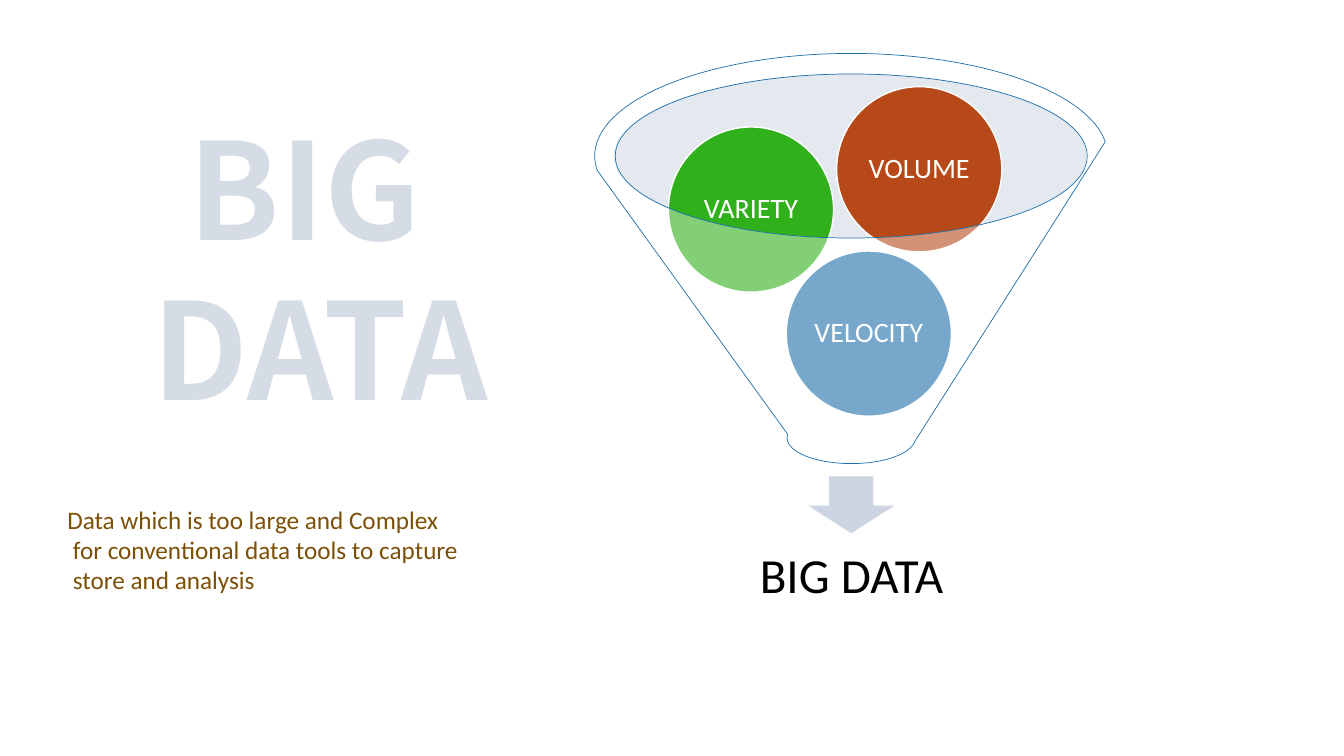
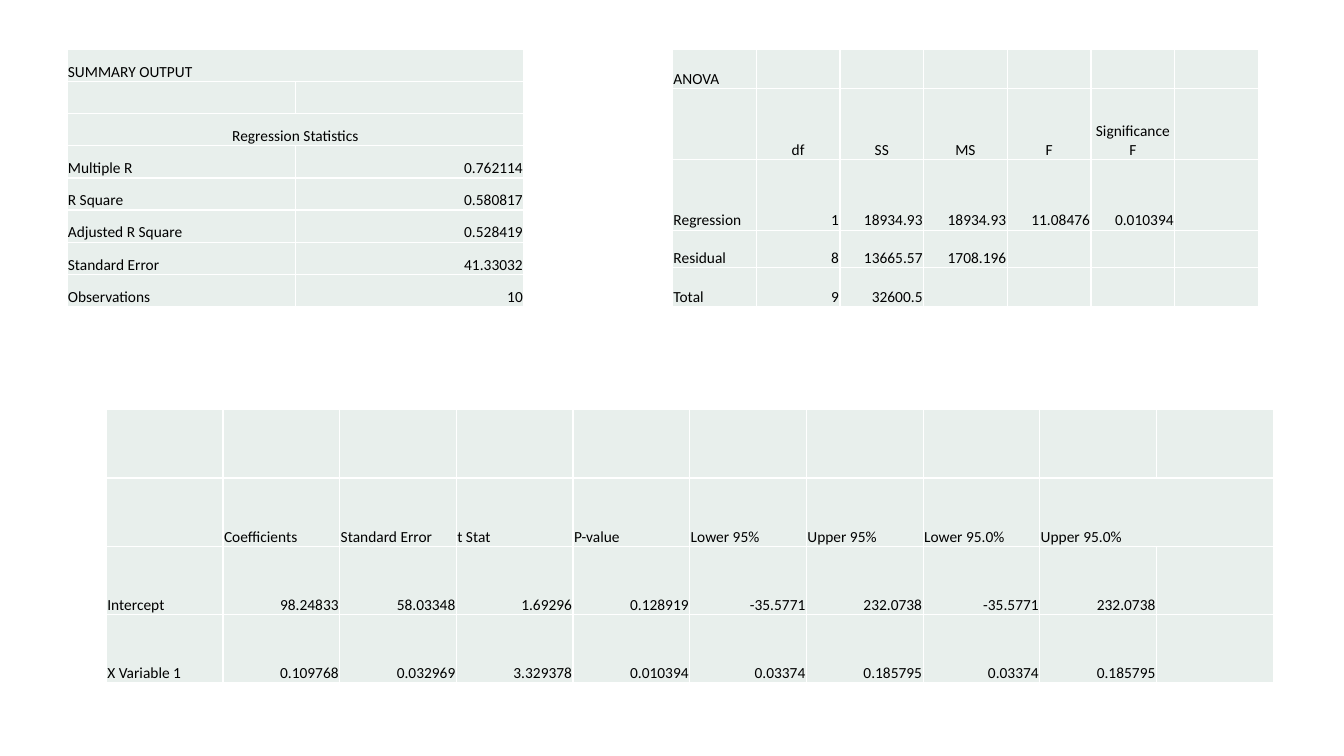
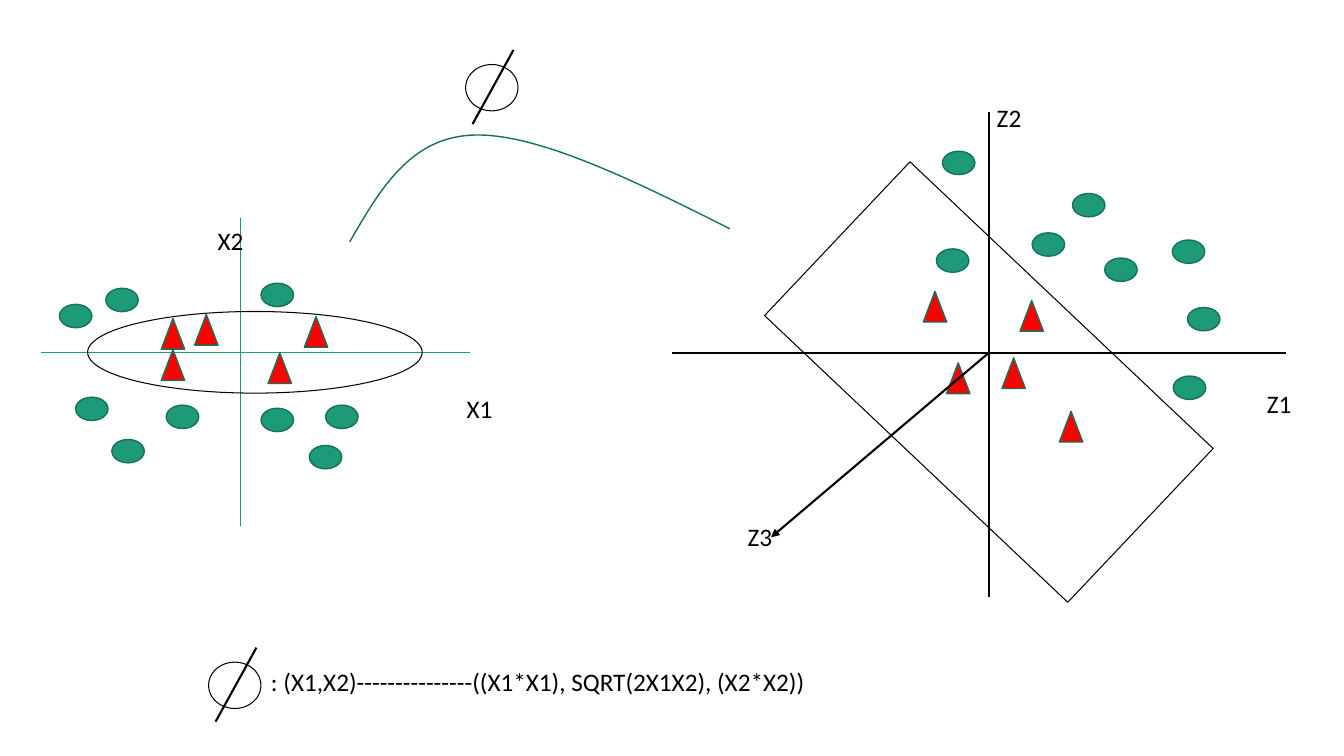
from dataclasses import dataclass

from lxml import etree
from pptx import Presentation
from pptx.dml.color import RGBColor
from pptx.enum.shapes import MSO_CONNECTOR, MSO_SHAPE
from pptx.enum.text import MSO_ANCHOR, PP_ALIGN
from pptx.oxml.ns import qn
from pptx.util import Pt

OVAL, TRIANGLE, RECTANGLE = MSO_SHAPE.OVAL, MSO_SHAPE.ISOSCELES_TRIANGLE, MSO_SHAPE.RECTANGLE
FUNNEL, DOWN_ARROW = MSO_SHAPE.FUNNEL, MSO_SHAPE.DOWN_ARROW
STRAIGHT = MSO_CONNECTOR.STRAIGHT
LEFT, CENTER, RIGHT = PP_ALIGN.LEFT, PP_ALIGN.CENTER, PP_ALIGN.RIGHT
TOP, MIDDLE, BOTTOM = MSO_ANCHOR.TOP, MSO_ANCHOR.MIDDLE, MSO_ANCHOR.BOTTOM


@dataclass(frozen=True)
class Theme:
    font: str = "Calibri"
    title_font: str = "Noto Sans CJK JP"
    black: str = "000000"
    white: str = "FFFFFF"
    title: str = "D6DCE5"
    caption: str = "7D5008"
    mouth: str = "BDC8DA"
    arrow: str = "CDD5E2"
    blue: str = "1D6FA9"
    green: str = "30B01B"
    rust: str = "B74919"
    teal: str = "1D9A78"
    dark_teal: str = "157259"
    red: str = "FF0000"
    cell: str = "E8EFEC"
    title_size: int = 96
    result_size: int = 35
    ball_size: int = 20
    body_size: int = 18
    table_size: int = 11


THEME = Theme()

# Slide 1
TITLE = ["BIG ", "DATA"]
CAPTION = ["Data which is too large and Complex",
           "for conventional data tools to capture",
           "store and analysis"]
BALL_SIDE = 118
BALLS = [("VELOCITY", 561.6, 179.3, THEME.blue),
         ("VARIETY", 477.4, 90.7, THEME.green),
         ("VOLUME", 597.6, 61.9, THEME.rust)]

# Slide 2: "merged" cells join with the cell to their right
TABLES = [
    {"at": (47.8, 35.4), "width": 326.4, "heights": [22.95] * 8,
     "merged": [(0, 0), (2, 0)], "centered_row": 2,
     "rows": [("SUMMARY OUTPUT", ""),
              ("", ""),
              ("Regression Statistics", ""),
              ("Multiple R", "0.762114"),
              ("R Square", "0.580817"),
              ("Adjusted R Square", "0.528419"),
              ("Standard Error", "41.33032"),
              ("Observations", "10")]},
    {"at": (480.4, 35.4), "width": 418.6, "heights": [27.8, 50.6, 50.6, 26.8, 27.8],
     "merged": [], "centered_row": 1,
     "rows": [("ANOVA", "", "", "", "", "", ""),
              ("", "df", "SS", "MS", "F", "Significance F", ""),
              ("Regression", "1", "18934.93", "18934.93", "11.08476", "0.010394", ""),
              ("Residual", "8", "13665.57", "1708.196", "", "", ""),
              ("Total", "9", "32600.5", "", "", "", "")]},
    {"at": (76, 292.6), "width": 833.6, "heights": [48.8] * 4,
     "merged": [(1, 8)], "centered_row": None,
     "rows": [("",) * 10,
              ("", "Coefficients", "Standard Error", "t Stat", "P-value", "Lower 95%",
               "Upper 95%", "Lower 95.0%", "Upper 95.0%", ""),
              ("Intercept", "98.24833", "58.03348", "1.69296", "0.128919", "-35.5771",
               "232.0738", "-35.5771", "232.0738", ""),
              ("X Variable 1", "0.109768", "0.032969", "3.329378", "0.010394", "0.03374",
               "0.185795", "0.03374", "0.185795", "")]},
]

# Slide 3
AXES = [(171.4, 155.5, 171.4, 375.8, THEME.teal, 0.5),
        (29.5, 252, 335.5, 252, THEME.teal, 0.5),
        (706.3, 79.9, 706.3, 426.2, THEME.black, 1.5),
        (480.2, 252, 918.7, 252, THEME.black, 1.5)]
DEPTH_AXIS = (706.3, 252, 550.8, 383.8, THEME.black, 1.5)
DOT_SIZE, MARK_SIZE = (23.2, 16.7), (16.7, 21.9)
DOTS = [(75.6, 205.9), (54, 283.7), (42.5, 217.4), (232.6, 289.4), (186.5, 202.3),
        (118.8, 289.4), (79.9, 313.9), (186.5, 291.6), (221, 318.2), (838.1, 268.6),
        (668.9, 177.8), (673.2, 108), (837.4, 171.4), (737.3, 166.3), (848.2, 219.6),
        (789.1, 184.3), (766.1, 138.2)]
MARKS = [(139, 224.6), (115.2, 227.5), (115.2, 249.8), (191.5, 252), (217.4, 226.1),
         (676.1, 259.2), (715.7, 255.6), (756.7, 293.8), (659.5, 208.1), (728.6, 214.6)]
MAPPING_CURVE = [(249.8, 172.8), (271.4, 135.4), (293, 97.9), (338.4, 96.5),
                 (383.8, 95), (452.9, 128.9), (521.3, 163.4)]
PHI_SIGNS = [(332.6, 46.1), (149, 473)]
FORMULA = ": (X1,X2)---------------((X1*X1), SQRT(2X1X2), (X2*X2))"
LABELS = [(FORMULA, 186.5, 472.3, 400.3), ("X1", 326.2, 277.2, 33), ("X2", 148.3, 157.7, 33),
          ("Z1", 897.8, 273.6, 33), ("Z2", 704.9, 69.8, 33), ("Z3", 527, 368.6, 33)]


def rgb(color):
    return RGBColor.from_string(color)


def set_attributes(target, values):
    for name, value in values.items():
        setattr(target, name, value)


def paint(fill, color, alpha=None):
    """Fill with a colour, or with nothing; alpha is the opacity in percent."""
    if color is None:
        fill.background()
        return
    fill.solid()
    fill.fore_color.rgb = rgb(color)
    if alpha is not None:
        tint = fill._xPr.find(".//" + qn("a:srgbClr"))
        etree.SubElement(tint, qn("a:alpha")).set("val", str(alpha * 1000))


def stroke(line, color, width=1.0):
    paint(line.fill, color)
    if color:
        line.width = Pt(width)


def write(frame, lines, size, color, font=THEME.font, bold=False, align=LEFT, spacing=None,
          anchor=TOP, inset=None, wrap=False, hanging=0):
    """Put one paragraph per line; hanging indents all lines after the first."""
    set_attributes(frame, {"word_wrap": wrap, "vertical_anchor": anchor})
    if inset is not None:
        set_attributes(frame, {"margin_" + side: Pt(inset)
                               for side in ("left", "top", "right", "bottom")})
    for index, text in enumerate(lines):
        para = frame.add_paragraph() if index else frame.paragraphs[0]
        set_attributes(para, {"alignment": align, "line_spacing": spacing})
        if index and hanging:
            para._p.get_or_add_pPr().set("marL", str(Pt(hanging)))
        span = para.add_run()
        span.text = text
        set_attributes(span.font, {"size": Pt(size), "name": font, "bold": bold})
        span.font.color.rgb = rgb(color)


def add_text(page, at, lines, size, color, **formats):
    box = page.shapes.add_textbox(*map(Pt, at))
    write(box.text_frame, lines, size, color, **formats)
    return box


def add_figure(page, kind, at, fill=None, alpha=None, line=None, width=1.0):
    figure = page.shapes.add_shape(kind, *map(Pt, at))
    figure.shadow.inherit = False
    paint(figure.fill, fill, alpha)
    stroke(figure.line, line, width)
    return figure


def add_line(page, x1, y1, x2, y2, color, width, arrow=False):
    connector = page.shapes.add_connector(STRAIGHT, *map(Pt, (x1, y1, x2, y2)))
    stroke(connector.line, color, width)
    if arrow:
        etree.SubElement(connector.line._get_or_add_ln(), qn("a:tailEnd")).set("type", "triangle")
    etree.SubElement(connector._element.spPr, qn("a:effectLst"))


def add_curve(page, points, color, width):
    """Draw cubic curves: a start, then three points for each piece."""
    start, *rest = [(Pt(x), Pt(y)) for x, y in points]
    builder = page.shapes.build_freeform(*start)
    builder.add_line_segments(rest, close=False)
    curve = builder.convert_to_shape()
    curve.shadow.inherit = False
    paint(curve.fill, None)
    stroke(curve.line, color, width)
    outline = curve._element.find(".//" + qn("a:path"))
    for index, segment in enumerate(outline.findall(qn("a:lnTo"))):
        if index % 3 == 0:
            piece = etree.SubElement(outline, qn("a:cubicBezTo"))
        piece.append(segment[0])
        outline.remove(segment)


def add_phi(page, left, top):
    add_figure(page, OVAL, (left, top, 37.4, 33.1), line=THEME.black, width=0.75)
    add_line(page, left + 34.2, top - 10.4, left + 5, top + 42.5, THEME.black, 1.5)


def is_number(text):
    return text.lstrip("-").replace(".", "").isdigit()


def style_cell(cell, text, align):
    set_attributes(cell, {"margin_left": Pt(0.7), "margin_right": Pt(0.7), "margin_top": Pt(0.7),
                          "margin_bottom": Pt(0), "vertical_anchor": BOTTOM})
    para = cell.text_frame.paragraphs[0]
    para.alignment = align
    if text:
        span = para.add_run()
        span.text = text
        set_attributes(span.font, {"size": Pt(THEME.table_size), "name": THEME.font, "bold": False})
        span.font.color.rgb = rgb(THEME.black)
    else:
        para._p.get_or_add_endParaRPr().set("sz", str(THEME.table_size * 100))
    properties = cell._tc.get_or_add_tcPr()
    for side in ("lnL", "lnR", "lnT", "lnB"):
        border = etree.SubElement(properties, qn("a:" + side), w=str(Pt(1)))
        solid = etree.SubElement(border, qn("a:solidFill"))
        etree.SubElement(solid, qn("a:srgbClr"), val=THEME.white)
    paint(cell.fill, THEME.cell)


def add_grid(page, at, width, heights, merged, centered_row, rows):
    columns = len(rows[0])
    area = (*at, width, sum(heights))
    table = page.shapes.add_table(len(rows), columns, *map(Pt, area)).table
    set_attributes(table, {"first_row": False, "horz_banding": False})
    for column in table.columns:
        column.width = Pt(width / columns)
    for row, height in zip(table.rows, heights):
        row.height = Pt(height)
    for r, texts in enumerate(rows):
        for c, text in enumerate(texts):
            align = CENTER if r == centered_row else RIGHT if is_number(text) else LEFT
            style_cell(table.cell(r, c), text, align)
    for r, c in merged:
        table.cell(r, c).merge(table.cell(r, c + 1))


def build_funnel_page(page):
    title = add_text(page, (59.8, 63.4, 337.7, 239.8), TITLE, THEME.title_size, THEME.title,
                     font=THEME.title_font, bold=True, align=CENTER, spacing=Pt(114.5), wrap=True)
    title.text_frame.margin_top = Pt(12.8)
    add_text(page, (41, 356.4, 296.6, 72.7), CAPTION, THEME.body_size, THEME.caption, hanging=4)
    add_figure(page, OVAL, (438.5, 52.6, 337.7, 117.4), THEME.mouth, alpha=40)
    add_figure(page, DOWN_ARROW, (575.3, 339.8, 65.5, 41.8), THEME.arrow, line=THEME.white)
    add_text(page, (451.4, 373, 313.9, 78.5), ["BIG DATA"], THEME.result_size, THEME.black,
             align=CENTER, spacing=0.9, anchor=MIDDLE, inset=19.4, wrap=True)
    for name, left, top, color in BALLS:
        ball = add_figure(page, OVAL, (left, top, BALL_SIDE, BALL_SIDE), color, line=THEME.white)
        write(ball.text_frame, [name], THEME.ball_size, THEME.white, align=CENTER,
              spacing=0.9, anchor=MIDDLE, inset=2)
    add_figure(page, FUNNEL, (424.8, 38.2, 366.5, 293), THEME.white, alpha=40,
               line=THEME.blue, width=0.5)


def build_regression_page(page):
    for table in TABLES:
        add_grid(page, **table)


def build_mapping_page(page):
    for axis in AXES:
        add_line(page, *axis)
    plane = add_figure(page, RECTANGLE, (557.3, 197.3, 298.1, 151.2), line=THEME.black, width=0.75)
    plane.rotation = 43.4
    add_figure(page, OVAL, (62.6, 222.5, 239, 58.3), line=THEME.black, width=0.75)
    for kind, places, size, color in ((OVAL, DOTS, DOT_SIZE, THEME.teal),
                                      (TRIANGLE, MARKS, MARK_SIZE, THEME.red)):
        for place in places:
            add_figure(page, kind, place + size, color, line=THEME.dark_teal)
    add_curve(page, MAPPING_CURVE, THEME.dark_teal, 1)
    for place in PHI_SIGNS:
        add_phi(page, *place)
    add_line(page, *DEPTH_AXIS, arrow=True)
    for text, left, top, width in LABELS:
        add_text(page, (left, top, width, 28.8), [text], THEME.body_size, THEME.black)


def main():
    deck = Presentation()
    set_attributes(deck, {"slide_width": Pt(960), "slide_height": Pt(540)})
    for build in (build_funnel_page, build_regression_page, build_mapping_page):
        build(deck.slides.add_slide(deck.slide_layouts[6]))
    deck.save("out.pptx")


if __name__ == "__main__":
    main()
